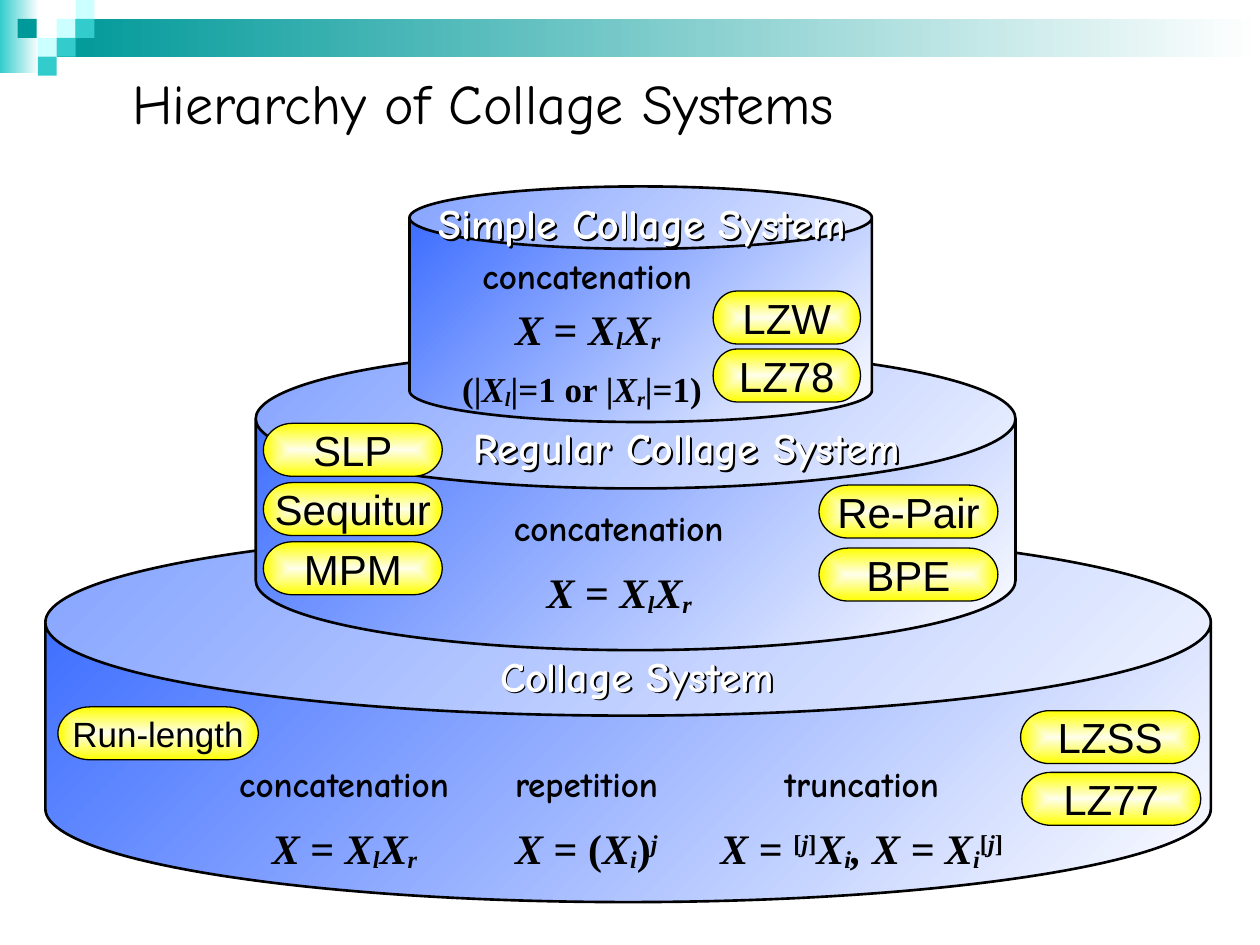
"""Build a slide showing the hierarchy of collage systems as three stacked cylinders."""
from lxml import etree
from pptx import Presentation
from pptx.dml.color import RGBColor
from pptx.enum.shapes import MSO_SHAPE as Shape
from pptx.enum.text import MSO_ANCHOR as Anchor, MSO_AUTO_SIZE as AutoSize, PP_ALIGN as Align
from pptx.oxml import parse_xml
from pptx.oxml.ns import nsdecls, qn
from pptx.util import Inches, Pt

BASELINES = {"_": "-10000", "^": "30000"}
HEADING_SHADOW = (
    f'<a:effectLst {nsdecls("a")}><a:outerShdw dist="20000" dir="2700000" algn="ctr">'
    '<a:srgbClr val="000000"/></a:outerShdw></a:effectLst>'
)
CONCATENATION = [("X ", "i"), ("= ", ""), ("X", "i"), ("l", "i_"), ("X", "i"), ("r", "i_")]
REPETITION = [("X ", "i"), ("= (", ""), ("X", "i"), ("i", "i_"), (")", ""), ("j", "i^")]
TRUNCATION = [
    ("X ", "i"), ("= ", ""), ("[", "^"), ("j", "i^"), ("]", "^"), ("X", "i"), ("i", "i_"),
    (", X = X", "i"), ("i", "i_"), ("[", "^"), ("j", "i^"), ("]", "^"),
]
CONDITION = [
    ("(|", ""), ("X", "i"), ("l", "i_"), ("|=1 or |", ""), ("X", "i"), ("r", "i_"), ("|=1)", ""),
]
TIERS = [
    {
        "can": (0.36, 4.2, 9.25, 2.96, 0.5),
        "heading": ("Collage System", 3.87, 5.11, 2.38),
        "operations": [
            ("concatenation", 1.8, 6, 1.87),
            ("repetition", 3.99, 6, 1.34),
            ("truncation", 6.13, 6, 1.46),
        ],
        "formulas": [
            (CONCATENATION, 2.06, 6.48, 1.35, 24),
            (REPETITION, 3.99, 6.48, 1.33, 24),
            (TRUNCATION, 5.62, 6.48, 2.44, 24),
        ],
        "algorithms": [
            ("LZSS", 8.1, 5.64, 1.42, 24),
            ("LZ77", 8.11, 6.13, 1.42, 24),
            ("Run-length", 0.46, 5.61, 1.59, 20),
        ],
    },
    {
        "can": (2.03, 2.77, 6.03, 2.39, 0.463),
        "heading": ("Regular Collage System", 3.66, 3.3, 3.59),
        "operations": [("concatenation", 3.98, 3.97, 1.87)],
        "formulas": [(CONCATENATION, 4.24, 4.45, 1.35, 24)],
        "algorithms": [
            ("SLP", 2.09, 3.36, 1.42, 24),
            ("Sequitur", 2.09, 3.83, 1.42, 24),
            ("MPM", 2.09, 4.3, 1.42, 24),
            ("Re-Pair", 6.5, 3.85, 1.42, 24),
            ("BPE", 6.5, 4.35, 1.42, 24),
        ],
    },
    {
        "can": (3.25, 1.48, 3.67, 1.87, 0.265),
        "heading": ("Simple Collage System", 3.38, 1.52, 3.44),
        "operations": [("concatenation", 3.73, 1.97, 1.87)],
        "formulas": [
            (CONCATENATION, 3.99, 2.36, 1.35, 24),
            (CONDITION, 3.57, 2.87, 2.1, 20),
        ],
        "algorithms": [("LZW", 5.66, 2.31, 1.17, 24), ("LZ78", 5.66, 2.77, 1.17, 24)],
    },
]


def add_filled(kind, left, top, width, height, colors, angle=0, line=None):
    shape = slide.shapes.add_shape(kind, Inches(left), Inches(top), Inches(width), Inches(height))
    shape.shadow.inherit = False
    if len(colors) == 1:
        shape.fill.solid()
        shape.fill.fore_color.rgb = RGBColor.from_string(colors[0])
    else:
        shape.fill.gradient()
        shape.fill.gradient_angle = angle
        for stop, color, position in zip(shape.fill.gradient_stops, colors, (0, 1)):
            stop.color.rgb = RGBColor.from_string(color)
            stop.position = position
    if line:
        shape.line.color.rgb = RGBColor.from_string("000000")
        shape.line.width = Pt(line)
    else:
        shape.line.fill.background()
    return shape


def write_text(shape, runs, size, font, color="000000", bold=False, before=0, align=Align.LEFT):
    frame = shape.text_frame
    frame.word_wrap = False
    paragraph = frame.paragraphs[0]
    paragraph.alignment = align
    paragraph.space_before = Pt(before)
    paragraph.font.size = Pt(size)
    paragraph.font.name = font
    paragraph.font.bold = bold
    paragraph.font.color.rgb = RGBColor.from_string(color)
    for text, style in runs:
        run = paragraph.add_run()
        run.text = text
        run.font.italic = "i" in style
        if style[-1:] in BASELINES:
            run.font._element.set("baseline", BASELINES[style[-1]])


presentation = Presentation()
presentation.slide_width = Inches(10)
presentation.slide_height = Inches(7.5)
slide = presentation.slides.add_slide(presentation.slide_layouts[5])

add_filled(Shape.RECTANGLE, 0, 0, 0.31, 0.58, ["FFFFFF", "33CCCC"], 180)
add_filled(Shape.RECTANGLE, 0.45, 0.15, 9.55, 0.3, ["FFFFFF", "009999"], 180)
for left, top, color in [
    (0.45, 0.15, "CCFFFF"), (0.6, 0, "CCFFFF"), (0.6, 0.15, "33CCCC"), (0.3, 0.3, "CCFFFF"),
    (0.14, 0.15, "009999"), (0.45, 0.3, "33CCCC"), (0.3, 0.45, "33CCCC"),
]:
    add_filled(Shape.RECTANGLE, left, top, 0.15, 0.15, [color])

title = slide.shapes.title
title.left, title.top, title.width, title.height = map(Inches, (0.95, 0.49, 5.81, 0.64))
title.text_frame.vertical_anchor = Anchor.TOP
title.text_frame.auto_size = AutoSize.SHAPE_TO_FIT_TEXT
write_text(title, [("Hierarchy of Collage Systems", "")], 32, "Comic Neue")

for tier in TIERS:
    *box, depth = tier["can"]
    can = add_filled(Shape.CAN, *box, ["FFFFFF", "3366FF"], 135, 1.5)
    can.adjustments[0] = depth

    for name, left, top, width, size in tier["algorithms"]:
        pill = add_filled(
            Shape.FLOWCHART_TERMINATOR, left, top, width, 0.42, ["FEFEEB", "FFFF00"], 0, 0.75
        )
        gradient = pill._element.spPr.find(qn("a:gradFill"))
        gradient.remove(gradient.find(qn("a:lin")))
        center = etree.SubElement(gradient, qn("a:path"), {"path": "rect"})
        etree.SubElement(center, qn("a:fillToRect"), dict.fromkeys("ltrb", "50000"))
        pill.text_frame.vertical_anchor = Anchor.MIDDLE
        write_text(pill, [(name, "")], size, "Arial", before=size / 4, align=Align.CENTER)

    heading, *heading_place = tier["heading"]
    labels = [([(heading, "")], *heading_place, 24, "Comic Neue", "FFFFFF", 0)]
    for operation, *place in tier["operations"]:
        labels.append(([(operation, "")], *place, 20, "Comic Neue", "000000", 0))
    for formula, *place, size in tier["formulas"]:
        labels.append((formula, *place, size, "Times New Roman", "000000", size / 4))
    for runs, left, top, width, size, font, color, before in labels:
        height = 0.5 if size == 24 else 0.44
        label = slide.shapes.add_textbox(Inches(left), Inches(top), Inches(width), Inches(height))
        label.text_frame.auto_size = AutoSize.SHAPE_TO_FIT_TEXT
        write_text(label, runs, size, font, color, True, before)
        if color == "FFFFFF":
            label._element.spPr.append(parse_xml(HEADING_SHADOW))

presentation.save("out.pptx")
